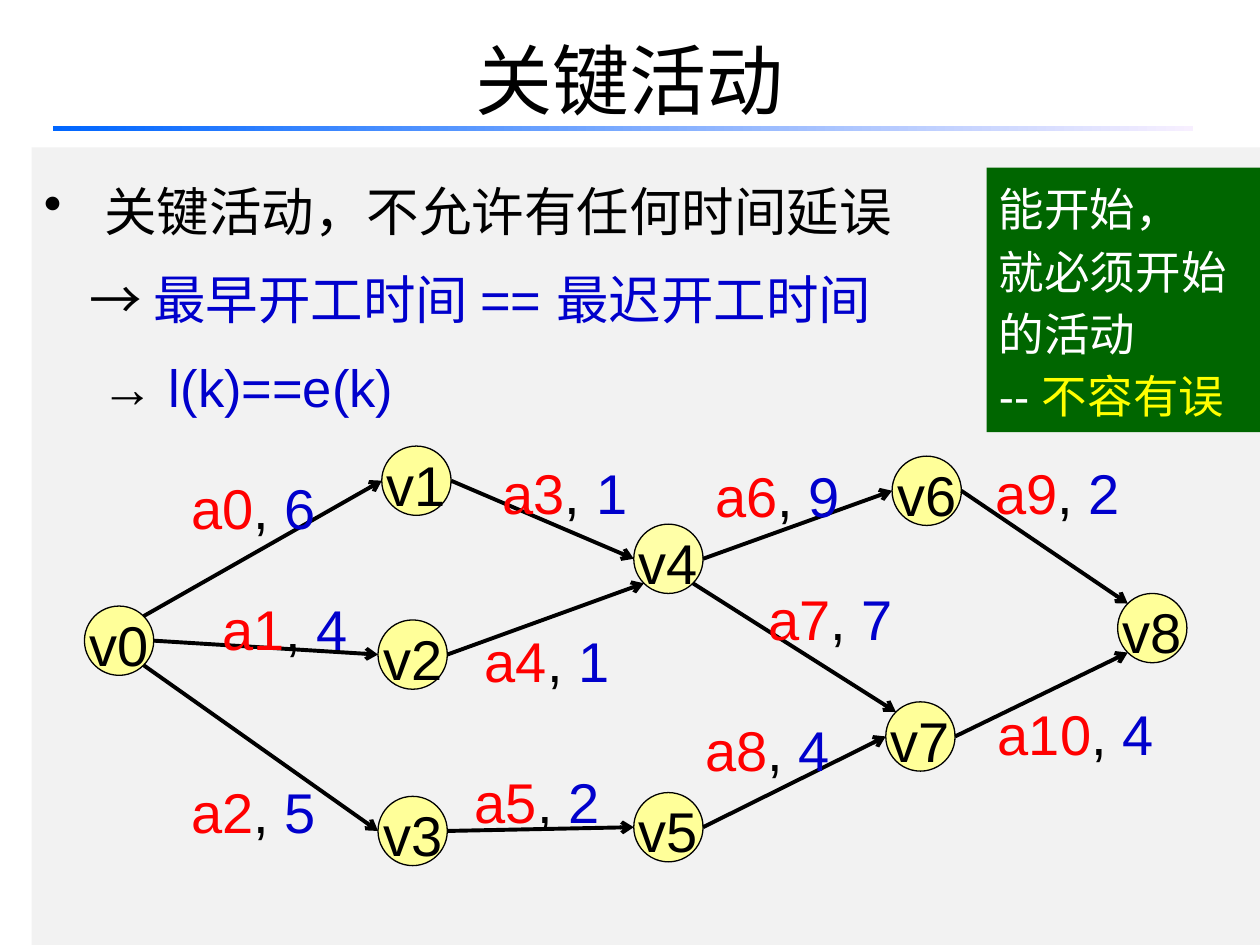
from math import cos, radians, sin

from lxml.etree import SubElement as Sub
from pptx import Presentation
from pptx.dml.color import RGBColor as Rgb
from pptx.enum.shapes import MSO_CONNECTOR as Link, MSO_SHAPE as Form
from pptx.enum.text import MSO_ANCHOR as Anchor, MSO_AUTO_SIZE as Fit, PP_ALIGN as Align
from pptx.oxml.ns import qn
from pptx.util import Inches, Pt

HUES = {
    "black": "000000", "white": "FFFFFF", "red": "FF0000", "blue": "0000CC",
    "yellow": "FFFF00", "green": "006600", "grey": "F2F2F2", "node": "FFFF99",
    "hub": "FFFFA7", "start": "0066FF", "end": "F7EFFF",
}
SIZE = 0.55
NODES = {
    "v0": (0.67, 4.81), "v1": (3.03, 3.54), "v2": (3, 4.92),
    "v3": (3, 6.32), "v4": (5.03, 4.16), "v5": (5.03, 6.29),
    "v6": (7.08, 3.62), "v7": (7.03, 5.57), "v8": (8.87, 4.71),
}
EAST, SOUTH_EAST, SOUTH_WEST, WEST, NORTH_WEST, NORTH_EAST = 0, 45, 135, 180, 225, 315
EDGES = [
    ("v0", NORTH_EAST, "v1", WEST, "6", 1.42, 3.58),
    ("v0", EAST, "v2", WEST, "4", 1.67, 4.54),
    ("v0", SOUTH_EAST, "v3", WEST, "5", 1.42, 5.99),
    ("v1", EAST, "v4", WEST, "1", 3.89, 3.46),
    ("v2", EAST, "v4", SOUTH_WEST, "1", 3.75, 4.79),
    ("v3", EAST, "v5", WEST, "2", 3.67, 5.91),
    ("v4", EAST, "v6", WEST, "9", 5.58, 3.48),
    ("v4", SOUTH_EAST, "v7", NORTH_WEST, "7", 6, 4.46),
    ("v5", EAST, "v7", WEST, "4", 5.5, 5.5),
    ("v6", EAST, "v8", NORTH_WEST, "2", 7.8, 3.46),
    ("v7", EAST, "v8", SOUTH_WEST, "4", 7.82, 5.37),
]


def hue(name):
    """Return the named colour."""
    return Rgb.from_string(HUES[name])


def port(node, angle):
    """Return the point on a node's rim at a clockwise angle from east."""
    left, top = NODES[node]
    half = SIZE / 2
    turn = radians(angle)
    return Inches(left + half + half * cos(turn)), Inches(top + half + half * sin(turn))


class Page:
    """Hold the text style and the slide being drawn."""

    def __init__(self, slide, font="Arial"):
        """Keep the slide and its font."""
        self.slide, self.font = slide, font

    def style(self, run, size, color):
        """Format one run."""
        run.font.name, run.font.size = self.font, Pt(size)
        run.font.color.rgb = hue(color)

    def words(self, frame, lines, size, gap=1.0, align=Align.LEFT):
        """Fill a frame with lines made of (text, colour) pairs."""
        for i, line in enumerate(lines):
            para = frame.add_paragraph() if i else frame.paragraphs[0]
            para.alignment, para.line_spacing = align, gap
            for text, color in line:
                run = para.add_run()
                run.text = text
                self.style(run, size, color)

    def title(self, text, box):
        """Place and format the title."""
        head = self.slide.shapes.title
        head.left, head.top, head.width, head.height = map(Inches, box)
        frame = head.text_frame
        frame.text = text
        frame.vertical_anchor = Anchor.MIDDLE
        frame.paragraphs[0].alignment = Align.CENTER
        self.style(frame.paragraphs[0].runs[0], 44, "black")

    def shape(self, form, box, color=None):
        """Add a flat shape without an outline."""
        item = self.slide.shapes.add_shape(form, *map(Inches, box))
        item.shadow.inherit = False
        item.line.fill.background()
        if color:
            item.fill.solid()
            item.fill.fore_color.rgb = hue(color)
        return item

    def rule(self, box):
        """Add the fading bar below the title."""
        fill = self.shape(Form.RECTANGLE, box).fill
        fill.gradient()
        fill.gradient_angle = 0
        for stop, color in zip(fill.gradient_stops, ("start", "end")):
            stop.color.rgb = hue(color)

    def panel(self, box, color, lines, size, gap, align=Align.LEFT):
        """Add a filled panel with text from its top."""
        frame = self.shape(Form.RECTANGLE, box, color).text_frame
        frame.word_wrap, frame.vertical_anchor = True, Anchor.TOP
        self.words(frame, lines, size, gap, align)
        return frame

    def indent(self, para, left, hang=0.0, mark=None):
        """Set the indent of a paragraph and its bullet, if any."""
        props = para._p.get_or_add_pPr()
        props.set("marL", str(Inches(left)))
        props.set("indent", str(Inches(-hang)))
        if mark:
            Sub(props, qn("a:buChar")).set("char", mark)

    def node(self, name):
        """Add a named event circle."""
        color = "hub" if name == "v4" else "node"
        disc = self.shape(Form.OVAL, (*NODES[name], SIZE, SIZE), color)
        disc.line.color.rgb, disc.line.width = hue("black"), Pt(0.75)
        frame = disc.text_frame
        frame.word_wrap, frame.vertical_anchor = False, Anchor.MIDDLE
        self.words(frame, [[(name, "black")]], 32, 1.1, Align.CENTER)

    def arrow(self, start, end):
        """Add an arrow between two points."""
        line = self.slide.shapes.add_connector(Link.STRAIGHT, *start, *end)
        line.line.color.rgb, line.line.width = hue("black"), Pt(2.25)
        Sub(line.line._get_or_add_ln(), qn("a:tailEnd")).set("type", "arrow")
        Sub(line._element.spPr, qn("a:effectLst"))

    def label(self, name, cost, left, top):
        """Add an activity's name and cost."""
        width = 1.2 if len(name) == 2 else 1.45
        box = self.slide.shapes.add_textbox(*map(Inches, (left, top, width, 0.77)))
        frame = box.text_frame
        frame.word_wrap, frame.auto_size = False, Fit.SHAPE_TO_FIT_TEXT
        self.words(frame, [[(name, "red"), (", ", "black"), (cost, "blue")]], 32, 1.25)


def main():
    """Build and save the slide."""
    deck = Presentation()
    deck.slide_width, deck.slide_height = Inches(10), Inches(7.5)
    page = Page(deck.slides.add_slide(deck.slide_layouts[5]))
    page.title("关键活动", (0.5, 0, 9, 1.25))
    page.rule((0.42, 1, 9.05, 0.04))

    body = page.panel((0.25, 1.17, 9.75, 6.33), "grey", [
        [("关键活动，不允许有任何时间延误", "black")],
        [("→ ", "black"), ("最早开工时间 == 最迟开工时间", "blue")],
        [("→ ", "black"), ("l(k)==e(k)", "blue")],
    ], 30, 1.4, Align.JUSTIFY)
    first, second, third = body.paragraphs
    page.indent(first, 0.48, 0.48, "•")
    page.indent(second, 0.36)
    page.indent(third, 0.46)

    note = page.panel((7.83, 1.33, 2.19, 2.1), "green", [
        [("能开始，", "white")],
        [("就必须开始", "white")],
        [("的活动", "white")],
        [("-- ", "white"), ("不容有误", "yellow")],
    ], 26, 1.14)
    note.auto_size = Fit.SHAPE_TO_FIT_TEXT

    for name in NODES:
        page.node(name)
    for tail, out, head, into, *_ in EDGES:
        page.arrow(port(tail, out), port(head, into))
    for i, (*_, cost, left, top) in enumerate(EDGES):
        page.label(f"a{i}", cost, left, top)
    deck.save("out.pptx")


if __name__ == "__main__":
    main()
